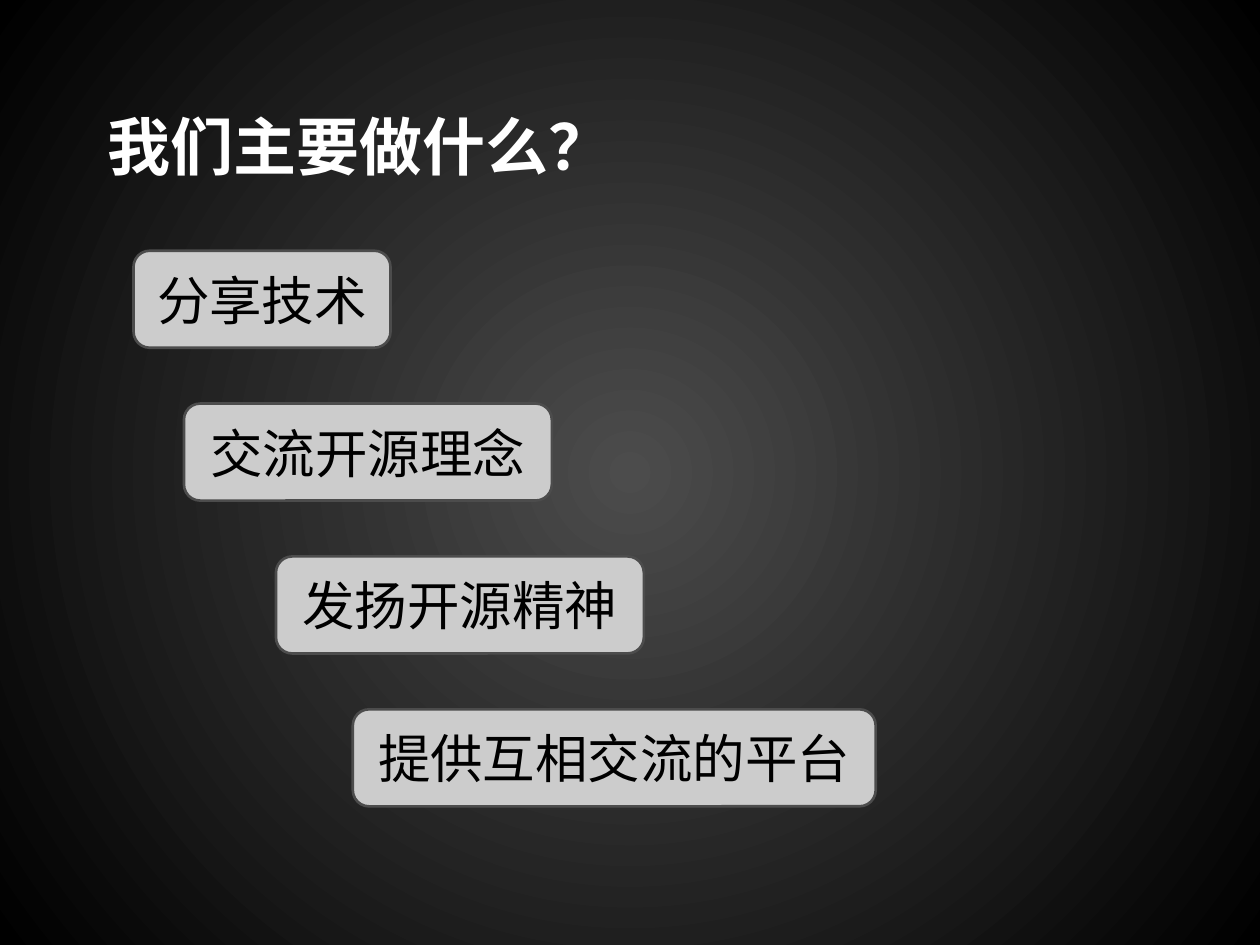
from dataclasses import dataclass

from lxml import etree
from pptx import Presentation
from pptx import util as u
from pptx.dml.color import RGBColor
from pptx.enum import shapes, text
from pptx.oxml import ns


@dataclass(frozen=True)
class Theme:
    font: str = "Arial"
    glow: str = "4C4C4C"
    edge: str = "000000"
    title: str = "FFFFFF"
    card: str = "CCCCCC"
    ink: str = "000000"
    title_size: int = 36
    card_size: int = 30


THEME = Theme()

# Wording, left edge and width of each step, in inches
ACTIVITIES = [
    ("分享技术", 1.06, 2.04),
    ("交流开源理念", 1.46, 2.92),
    ("发扬开源精神", 2.19, 2.92),
    ("提供互相交流的平台", 2.8, 4.15),
]


def apply(target, values):
    for name, value in values.items():
        setattr(target, name, value)


def write(shape, wording, size, color, bold, anchor, align):
    frame = shape.text_frame
    margins = {f"margin_{side}": u.Inches(0.1)
               for side in ("left", "top", "right", "bottom")}
    apply(frame, {"word_wrap": True, "auto_size": text.MSO_AUTO_SIZE.NONE,
                  "vertical_anchor": anchor, **margins})
    paragraph = frame.paragraphs[0]
    paragraph.alignment = align
    run = paragraph.add_run()
    run.text = wording
    apply(run.font, {"name": THEME.font, "size": u.Pt(size), "bold": bold})
    run.font.color.rgb = RGBColor.from_string(color)
    # Chinese characters take their typeface from the East Asian slot
    etree.SubElement(run.font._element, ns.qn("a:ea"), typeface=THEME.font)
    return paragraph


def paint_background(slide):
    fill = slide.background.fill
    fill.gradient()
    for stop, position, color in zip(fill.gradient_stops, (0, 1),
                                     (THEME.glow, THEME.edge)):
        stop.position = position
        stop.color.rgb = RGBColor.from_string(color)
    # Turn the linear gradient into a circular one from the centre
    gradient = slide._element.find(".//" + ns.qn("a:gradFill"))
    gradient.remove(gradient.find(ns.qn("a:lin")))
    circle = etree.SubElement(gradient, ns.qn("a:path"), path="circle")
    etree.SubElement(circle, ns.qn("a:fillToRect"),
                     {side: "50000" for side in "ltrb"})


def place_title(slide, wording, left, top, width, height):
    title = slide.shapes.title
    apply(title, {"left": left, "top": top, "width": width, "height": height})
    paragraph = write(title, wording, THEME.title_size, THEME.title, True,
                      text.MSO_ANCHOR.BOTTOM, text.PP_ALIGN.LEFT)
    properties = paragraph._p.get_or_add_pPr()
    properties.set("marL", "0")
    properties.set("indent", str(u.Inches(0.25)))


def place_activities(slide, activities, top, height):
    card_height = u.Inches(0.77)
    pitch = (height - card_height) / (len(activities) - 1)
    for row, (wording, left, width) in enumerate(activities):
        card = slide.shapes.add_shape(
            shapes.MSO_SHAPE.ROUNDED_RECTANGLE, u.Inches(left),
            round(top + row * pitch), u.Inches(width), card_height)
        card.shadow.inherit = False
        card.fill.solid()
        card.fill.fore_color.rgb = RGBColor.from_string(THEME.card)
        card.line.color.rgb = RGBColor.from_string(THEME.glow)
        card.line.width = u.Pt(1.5)
        write(card, wording, THEME.card_size, THEME.ink, False,
              text.MSO_ANCHOR.MIDDLE, text.PP_ALIGN.CENTER)


def main():
    deck = Presentation()
    apply(deck, {"slide_width": u.Inches(10), "slide_height": u.Inches(7.5)})
    slide = deck.slides.add_slide(deck.slide_layouts.get_by_name("Title Only"))
    paint_background(slide)
    place_title(slide, "我们主要做什么？", u.Inches(0.5), u.Inches(0.3),
                u.Inches(9), u.Inches(1.25))
    place_activities(slide, ACTIVITIES, u.Inches(1.99), u.Inches(4.41))
    deck.save("out.pptx")


if __name__ == "__main__":
    main()
